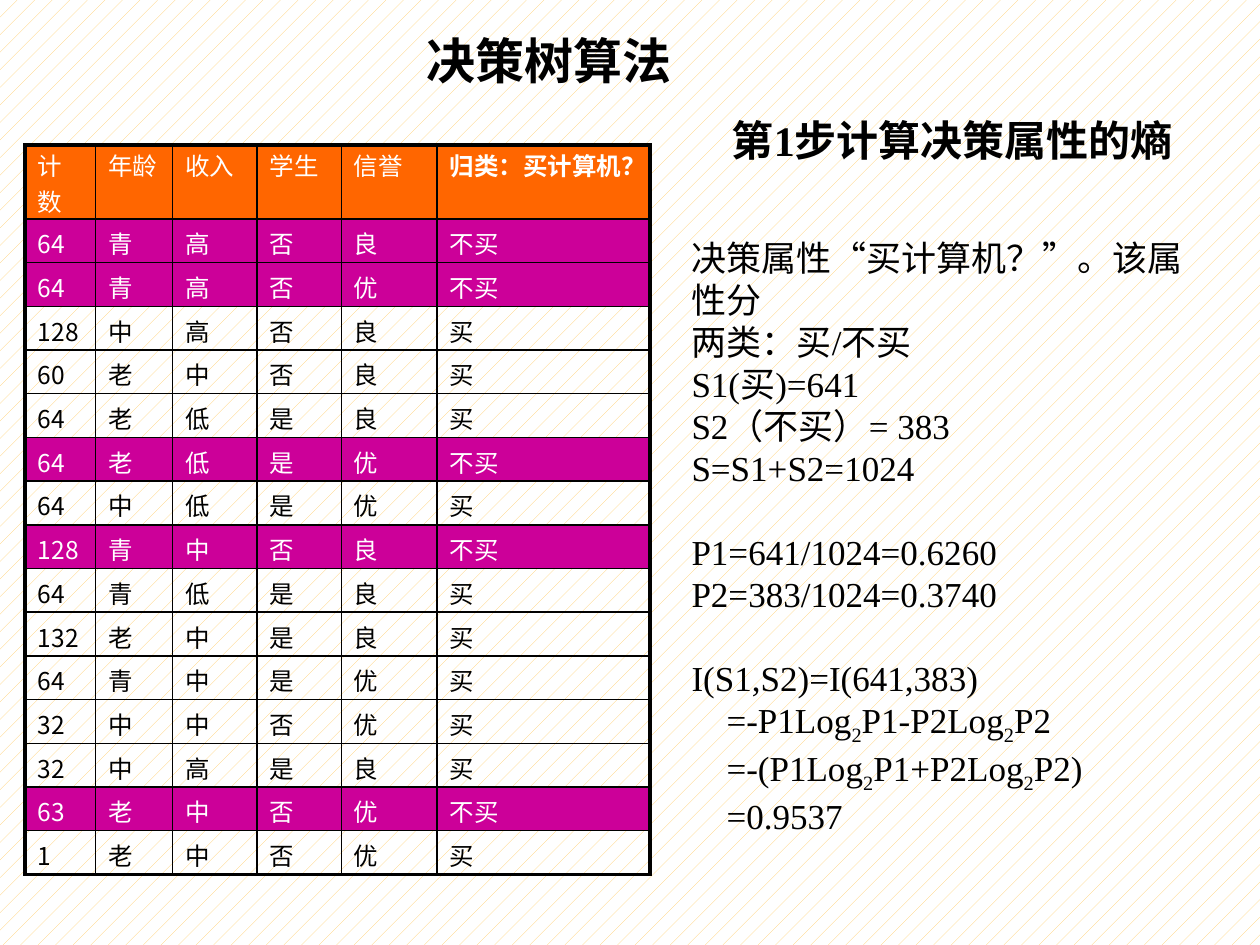
from dataclasses import dataclass

from lxml.etree import SubElement
from pptx import Presentation
from pptx.dml.color import RGBColor as RGB
from pptx.enum.dml import MSO_PATTERN as Pattern
from pptx.oxml.ns import qn
from pptx.util import Inches, Pt


@dataclass(frozen=True)
class Theme:
    black: str = "000000"
    white: str = "FFFFFF"
    header: str = "FF6600"
    negative: str = "CC0099"
    hatch: str = "FFCC66"
    text_font: str = "Times New Roman"
    table_font: str = "Noto Sans CJK JP"
    title: int = 28
    heading: int = 24
    body: int = 20
    cell: int = 14
    inner: float = 1
    outer: float = 2.25
    header_pad: float = 0.2
    cell_pad: float = 0.5


class Deck:
    """Places elements on a grid of 100 columns by 75 rows."""

    def __init__(self, theme):
        self.t = theme
        self.prs = Presentation()
        self.prs.slide_width, self.prs.slide_height = Inches(10), Inches(7.5)
        self.s = self.prs.slides.add_slide(self.prs.slide_layouts[6])

    def grid(self, *units):
        return [int(self.prs.slide_width * u / 100) for u in units]

    def background(self):
        fill = self.s.background.fill
        fill.patterned()
        fill.pattern = Pattern.PERCENT_5
        fill.fore_color.rgb = RGB.from_string(self.t.hatch)
        fill.back_color.rgb = RGB.from_string(self.t.white)

    def run(self, p, text, size, font, color, bold=False):
        r = p.add_run()
        r.text = text
        r.font.size, r.font.name, r.font.bold = Pt(size), font, bold
        r.font.color.rgb = RGB.from_string(color)
        return r

    def text(self, box, lines, size, bold=False, wrap=True):
        """Each line is (text, gap before, indent); '_' sets off subscripts."""
        tf = self.s.shapes.add_textbox(*self.grid(*box)).text_frame
        tf.word_wrap = wrap
        for i, (text, gap, indent) in enumerate(lines):
            p = tf.paragraphs[0] if i == 0 else tf.add_paragraph()
            if indent:
                p._p.get_or_add_pPr().set("marL", str(Pt(indent)))
            if gap:
                p.space_before = Pt(gap)
            for j, part in enumerate(text.split("_")):
                r = self.run(p, part, size, self.t.text_font, self.t.black, bold)
                if j % 2:
                    r.font._element.set("baseline", "-25000")

    def borders(self, cell, outer_sides):
        tcPr = cell._tc.get_or_add_tcPr()
        for side in "LRTB":
            width = self.t.outer if side in outer_sides else self.t.inner
            ln = SubElement(tcPr, qn(f"a:ln{side}"), w=str(Pt(width)))
            solid = SubElement(ln, qn("a:solidFill"))
            SubElement(solid, qn("a:srgbClr"), val=self.t.black)

    def cell(self, cell, text, fill, color, bold, pad, outer_sides):
        self.borders(cell, outer_sides)
        cell.margin_top, cell.margin_bottom = self.grid(pad, 0)
        if fill:
            cell.fill.solid()
            cell.fill.fore_color.rgb = RGB.from_string(fill)
        else:
            cell.fill.background()
        p = cell.text_frame.paragraphs[0]
        self.run(p, text, self.t.cell, self.t.table_font, color, bold)

    def table(self, left, top, header, records, widths, heights):
        t = self.t
        rows = [header] + records
        box = self.grid(left, top, sum(widths), sum(heights))
        tbl = self.s.shapes.add_table(len(rows), len(header), *box).table
        tbl.first_row = tbl.horz_banding = False
        for col, w in zip(tbl.columns, self.grid(*widths)):
            col.width = w
        for row, h in zip(tbl.rows, self.grid(*heights)):
            row.height = h
        last_row, last_col = len(rows) - 1, len(header) - 1
        for i, values in enumerate(rows):
            if i == 0:
                fill, color = t.header, t.white
            elif values[-1] == "不买":
                fill, color = t.negative, t.white
            else:
                fill, color = None, t.black
            pad = t.cell_pad if i else t.header_pad
            for j, value in enumerate(values):
                edges = {"L": j == 0, "R": j == last_col, "T": i == 0, "B": i == last_row}
                outer_sides = [side for side, on in edges.items() if on]
                bold = i == 0 and j == last_col
                self.cell(tbl.cell(i, j), value, fill, color, bold, pad, outer_sides)


HEADER = ["计数", "年龄", "收入", "学生", "信誉", "归类：买计算机？"]
# Count, then age, income, student, credit and class
RECORDS = """
64 青 高 否 良 不买
64 青 高 否 优 不买
128 中 高 否 良 买
60 老 中 否 良 买
64 老 低 是 良 买
64 老 低 是 优 不买
64 中 低 是 优 买
128 青 中 否 良 不买
64 青 低 是 良 买
132 老 中 是 良 买
64 青 中 是 优 买
32 中 中 否 优 买
32 中 高 是 良 买
63 老 中 否 优 不买
1 老 中 否 优 买
"""
GAP, INDENT = 24, 20
ENTROPY = [
    ("决策属性“买计算机？”。该属性分", 0, 0),
    ("两类：买/不买", 0, 0),
    ("S1(买)=641", 0, 0),
    ("S2（不买）= 383", 0, 0),
    ("S=S1+S2=1024", 0, 0),
    ("P1=641/1024=0.6260", GAP, 0),
    ("P2=383/1024=0.3740", 0, 0),
    ("I(S1,S2)=I(641,383)", GAP, 0),
    ("=-P1Log_2_P1-P2Log_2_P2", 0, INDENT),
    ("=-(P1Log_2_P1+P2Log_2_P2)", 0, INDENT),
    ("=0.9537", 0, INDENT),
]


def main():
    theme = Theme()
    deck = Deck(theme)
    deck.background()

    # Training data
    records = [line.split() for line in RECORDS.strip().splitlines()]
    heights = [5.8] + [3.47] * len(records)
    deck.table(2, 11.5, HEADER, records, (5.6, 6.1, 6.7, 6.7, 7.6, 16.9), heights)

    # Entropy of the decision attribute
    deck.text((57.1, 8.6, 37, 5), [("第1步计算决策属性的熵", 0, 0)], theme.heading, bold=True)
    deck.text((53.9, 18.3, 43.4, 44.3), ENTROPY, theme.body)

    # Title
    deck.text((32.9, 1.9, 21.5, 5.7), [("决策树算法", 0, 0)], theme.title, bold=True, wrap=False)

    deck.prs.save("out.pptx")


if __name__ == "__main__":
    main()
